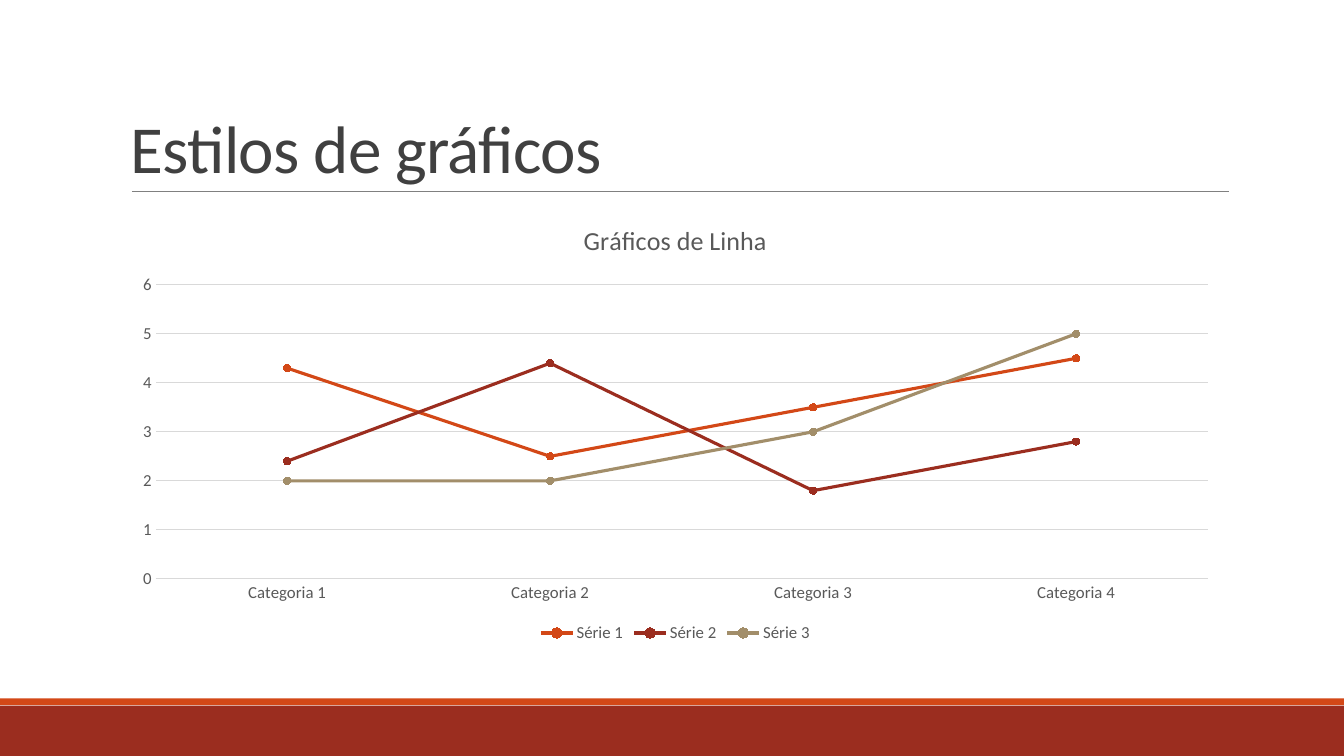
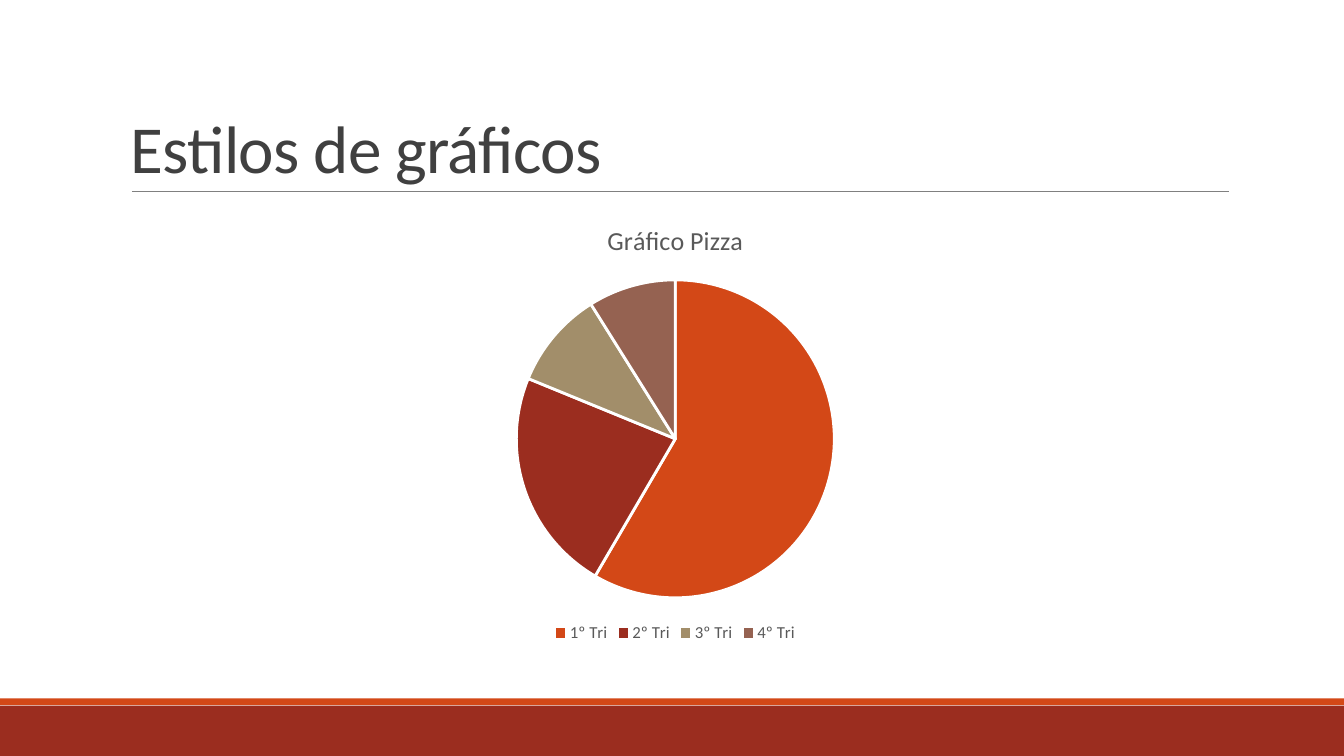
from lxml import etree
from pptx import Presentation
from pptx.chart.data import CategoryChartData
from pptx.dml.color import RGBColor
from pptx.enum.chart import XL_CHART_TYPE, XL_LEGEND_POSITION, XL_MARKER_STYLE, XL_TICK_MARK
from pptx.enum.shapes import MSO_CONNECTOR, MSO_SHAPE
from pptx.enum.text import MSO_ANCHOR
from pptx.oxml.ns import qn
from pptx.util import Pt

LINE_MARKERS, PIE = XL_CHART_TYPE.LINE_MARKERS, XL_CHART_TYPE.PIE
BOTTOM = XL_LEGEND_POSITION.BOTTOM
CIRCLE = XL_MARKER_STYLE.CIRCLE
NO_TICK = XL_TICK_MARK.NONE
RECT = MSO_SHAPE.RECTANGLE
STRAIGHT = MSO_CONNECTOR.STRAIGHT
ANCHOR_BOTTOM = MSO_ANCHOR.BOTTOM

FONT = "Calibri"
COLORS = {
    "orange": "D34817",
    "red": "9B2D1F",
    "sand": "A28E6A",
    "brown": "956251",
    "title": "404040",
    "text": "595959",
    "rule": "808080",
    "grid": "D9D9D9",
    "white": "FFFFFF",
}
SERIES_COLORS = ["orange", "red", "sand", "brown"]

SLIDE_W, SLIDE_H = 960, 540
# Boxes: left, top, width, height in points
FOOTER_BOX = (0, 498.8, SLIDE_W, 41.2)
TITLE_BOX = (86.4, 22.5, 792, 114.5)
CHART_BOX = (86.4, 145.4, 792, 316.8)


def rgb(name):
    return RGBColor.from_string(COLORS[name])


def set_fill(fill, color):
    fill.solid()
    fill.fore_color.rgb = rgb(color)


def set_line(line, color, width):
    set_fill(line.fill, color)
    line.width = Pt(width)


def set_font(font, size, color):
    font.name = FONT
    font.size = Pt(size)
    font.bold = False
    font.color.rgb = rgb(color)


def add_footer(s, box):
    """Thin accent strip above a wide band."""
    left, top, width, height = box
    strip_h, band_h = 5, 36
    for color, y, h in (("red", top + height - band_h, band_h),
                        ("orange", top, strip_h)):
        sp = s.shapes.add_shape(RECT, Pt(left), Pt(y), Pt(width), Pt(h))
        sp.shadow.inherit = False
        set_fill(sp.fill, color)
        sp.line.fill.background()


def add_title(s, box, text):
    """Bottom-anchored title with a rule below it."""
    left, top, width, height = box
    sp = s.shapes.add_textbox(*map(Pt, box))
    tf = sp.text_frame
    tf.word_wrap = True
    tf.vertical_anchor = ANCHOR_BOTTOM
    tf.text = text
    p = tf.paragraphs[0]
    p.line_spacing = 0.85
    r = p.runs[0]
    set_font(r.font, 48, "title")
    r.font._element.set("spc", "-50")

    inset, bottom = 7.8, Pt(top + height)
    rule = s.shapes.add_connector(
        STRAIGHT, Pt(left + inset), bottom, Pt(left + width - 0.4), bottom)
    set_line(rule.line, "rule", 0.5)
    etree.SubElement(rule._element.spPr, qn("a:effectLst"))


def add_chart(s, box, kind, title, categories, series):
    """Chart with the shared title, font and legend style."""
    data = CategoryChartData()
    data.categories = categories
    for name, values in series:
        data.add_series(name, values)
    chart = s.shapes.add_chart(kind, *map(Pt, box), data).chart
    set_font(chart.font, 12, "text")

    chart.has_title = True
    tf = chart.chart_title.text_frame
    tf.text = title
    set_font(tf.paragraphs[0].runs[0].font, 18.6, "text")
    chart.chart_title.include_in_layout = False

    chart.has_legend = True
    chart.legend.position = BOTTOM
    chart.legend.include_in_layout = False
    set_font(chart.legend.font, 12, "text")
    return chart


def style_lines(chart):
    chart.plots[0].vary_by_categories = False
    for axis in (chart.category_axis, chart.value_axis):
        axis.major_tick_mark = axis.minor_tick_mark = NO_TICK
        set_font(axis.tick_labels.font, 12, "text")
    set_line(chart.category_axis.format.line, "grid", 0.75)

    values = chart.value_axis
    values.minimum_scale, values.maximum_scale, values.major_unit = 0, 6, 1
    values.format.line.fill.background()
    values.has_major_gridlines = True
    set_line(values.major_gridlines.format.line, "grid", 0.75)

    for ser, color in zip(chart.series, SERIES_COLORS):
        ser.smooth = False
        set_line(ser.format.line, color, 2.25)
        ser.marker.style = CIRCLE
        ser.marker.size = 5
        set_fill(ser.marker.format.fill, color)
        set_line(ser.marker.format.line, color, 0.75)


def style_pie(chart):
    chart.plots[0].vary_by_categories = True
    for i, color in enumerate(SERIES_COLORS):
        fmt = chart.series[0].points[i].format
        set_fill(fmt.fill, color)
        set_line(fmt.line, "white", 2)


def chart_slide(prs, heading, style, *chart_args):
    s = prs.slides.add_slide(prs.slide_layouts[6])
    add_footer(s, FOOTER_BOX)
    add_title(s, TITLE_BOX, heading)
    style(add_chart(s, CHART_BOX, *chart_args))


def main():
    prs = Presentation()
    prs.slide_width, prs.slide_height = Pt(SLIDE_W), Pt(SLIDE_H)
    heading = "Estilos de gráficos"

    chart_slide(prs, heading, style_lines, LINE_MARKERS, "Gráficos de Linha",
                [f"Categoria {i}" for i in range(1, 5)],
                [("Série 1", (4.3, 2.5, 3.5, 4.5)),
                 ("Série 2", (2.4, 4.4, 1.8, 2.8)),
                 ("Série 3", (2, 2, 3, 5))])
    chart_slide(prs, heading, style_pie, PIE, "Gráfico Pizza",
                [f"{i}º Tri" for i in range(1, 5)],
                [("Series 1", (59, 23, 10, 9))])

    prs.save("out.pptx")


if __name__ == "__main__":
    main()
